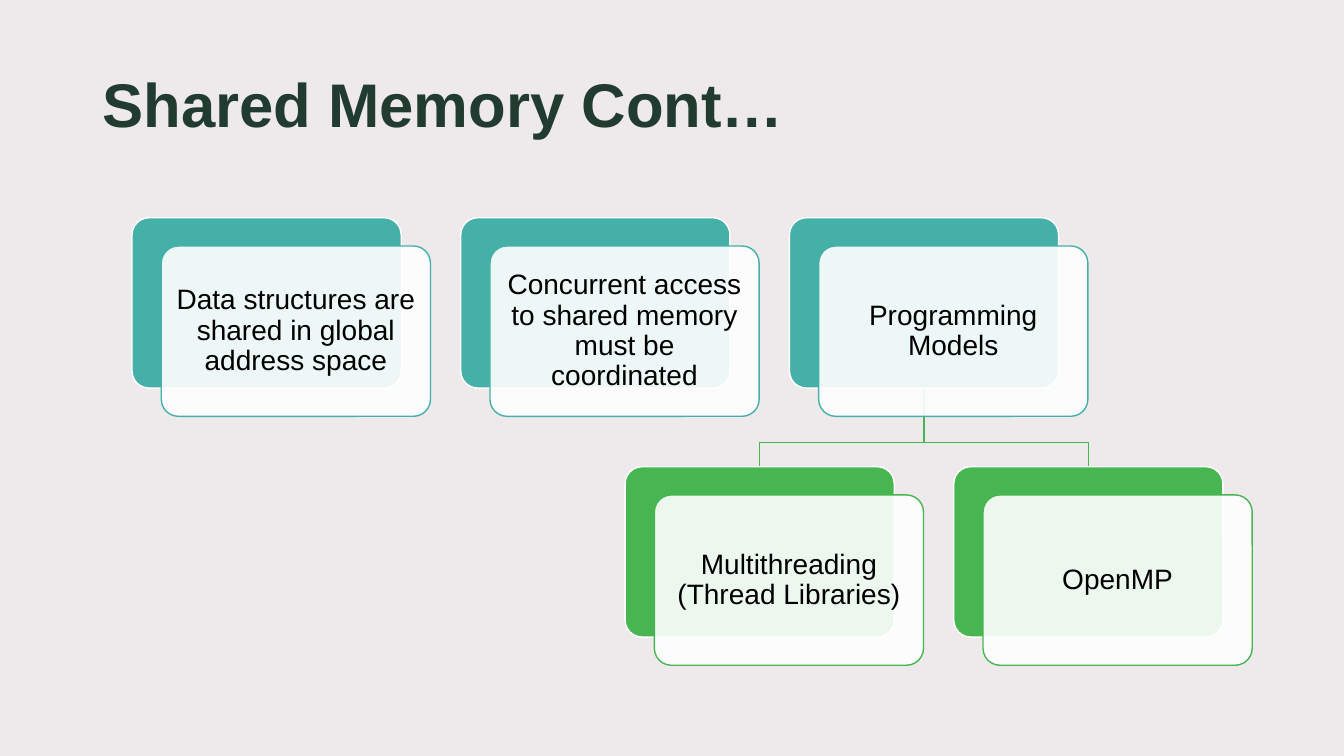
from lxml.etree import SubElement as Sub
from pptx import Presentation
from pptx.dml.color import RGBColor
from pptx.enum.shapes import MSO_SHAPE as Kind
from pptx.enum.text import MSO_ANCHOR as Anchor, PP_ALIGN as Align
from pptx.oxml.ns import qn
from pptx.util import Inches, Pt

WHITE = RGBColor(0xFF, 0xFF, 0xFF)
BLACK = RGBColor(0x00, 0x00, 0x00)
MIST = RGBColor(0xE8, 0xE2, 0xE3)
PINE = RGBColor(0x21, 0x3B, 0x31)
TEAL = RGBColor(0x45, 0xB0, 0xA7)
GREEN = RGBColor(0x47, 0xB5, 0x50)

WIDE, HIGH = 13.33, 7.5
CARD_W, CARD_H = 2.67, 1.69
LEFT, TOP = 1.31, 2.16
STEP, DROP = 3.26, 2.47
SHIFT_X, SHIFT_Y = 0.29, 0.28

TITLE = {"size": Pt(44), "name": "Arial", "bold": True}
LABEL = {"size": Pt(20), "name": "Arial"}
INSET = {f"margin_{side}": Inches(0.08)
         for side in ("left", "right", "top", "bottom")}
FRAME = {"word_wrap": True, "vertical_anchor": Anchor.MIDDLE, **INSET}
PARA = {"alignment": Align.CENTER, "line_spacing": 0.9}

TOPICS = ("Data structures are shared in global address space",
          "Concurrent access to shared memory must be coordinated",
          "Programming Models")
MODELS = ("Multithreading (Thread Libraries)", "OpenMP")


def style(item, values):
    """Set each attribute of item from a dict."""
    for name, value in values.items():
        setattr(item, name, value)


def write(shape, text, font, color, frame, para):
    """Put one formatted paragraph into a shape."""
    style(shape.text_frame, frame)
    line = shape.text_frame.paragraphs[0]
    style(line, para)
    run = line.add_run()
    run.text = text
    style(run.font, font)
    run.font.color.rgb = color


def block(slide, kind, box, fill, edge=None, alpha=100):
    """Add a filled shape with an optional edge and opacity."""
    shape = slide.shapes.add_shape(kind, *map(Inches, box))
    shape.shadow.inherit = False
    shape.fill.solid()
    shape.fill.fore_color.rgb = fill
    if alpha < 100:
        paint = shape._element.spPr.find(qn("a:solidFill"))[0]
        Sub(paint, qn("a:alpha"), val=str(alpha * 1000))
    if edge is None:
        shape.line.fill.background()
    else:
        shape.line.color.rgb = edge
        shape.line.width = Pt(1)
    return shape


def card(slide, left, top, text, color):
    """Add a coloured back panel and a labelled front panel."""
    back = block(slide, Kind.ROUNDED_RECTANGLE,
                 (left, top, CARD_W, CARD_H), color, WHITE)
    front = block(slide, Kind.ROUNDED_RECTANGLE,
                  (left + SHIFT_X, top + SHIFT_Y, CARD_W, CARD_H),
                  WHITE, color, 90)
    for panel in (back, front):
        panel.adjustments[0] = 0.1
    write(front, text, LABEL, BLACK, FRAME, PARA)


def branch(slide, start, end, bend):
    """Draw a stepped line from a parent card to a child card."""
    path = slide.shapes.build_freeform(*map(Inches, start), scale=1.0)
    turns = ((start[0], bend), (end[0], bend), end)
    path.add_line_segments([tuple(map(Inches, spot)) for spot in turns],
                           close=False)
    line = path.convert_to_shape()
    line.shadow.inherit = False
    line.fill.background()
    line.line.color.rgb = GREEN
    line.line.width = Pt(1)


def main():
    """Build and save the slide."""
    deck = Presentation()
    style(deck, {"slide_width": Inches(WIDE), "slide_height": Inches(HIGH)})
    slide = deck.slides.add_slide(deck.slide_layouts[6])
    for fill, alpha in ((WHITE, 100), (MIST, 70)):
        block(slide, Kind.RECTANGLE, (0, 0, WIDE, HIGH), fill, alpha=alpha)
    title = slide.shapes.add_textbox(*map(Inches, (0.92, 0.61, 11.32, 1.4)))
    write(title, "Shared Memory Cont…", TITLE, PINE, {"word_wrap": True}, {})

    last = LEFT + STEP * (len(TOPICS) - 1)
    first = last - STEP / 2
    low = TOP + DROP
    mid = CARD_W / 2
    for col in reversed(range(len(MODELS))):
        branch(slide, (last + mid, TOP + CARD_H),
               (first + STEP * col + mid, low), 4.39)
    for left, top, texts, color in ((LEFT, TOP, TOPICS, TEAL),
                                    (first, low, MODELS, GREEN)):
        for col, text in enumerate(texts):
            card(slide, left + STEP * col, top, text, color)
    deck.save("out.pptx")


if __name__ == "__main__":
    main()
